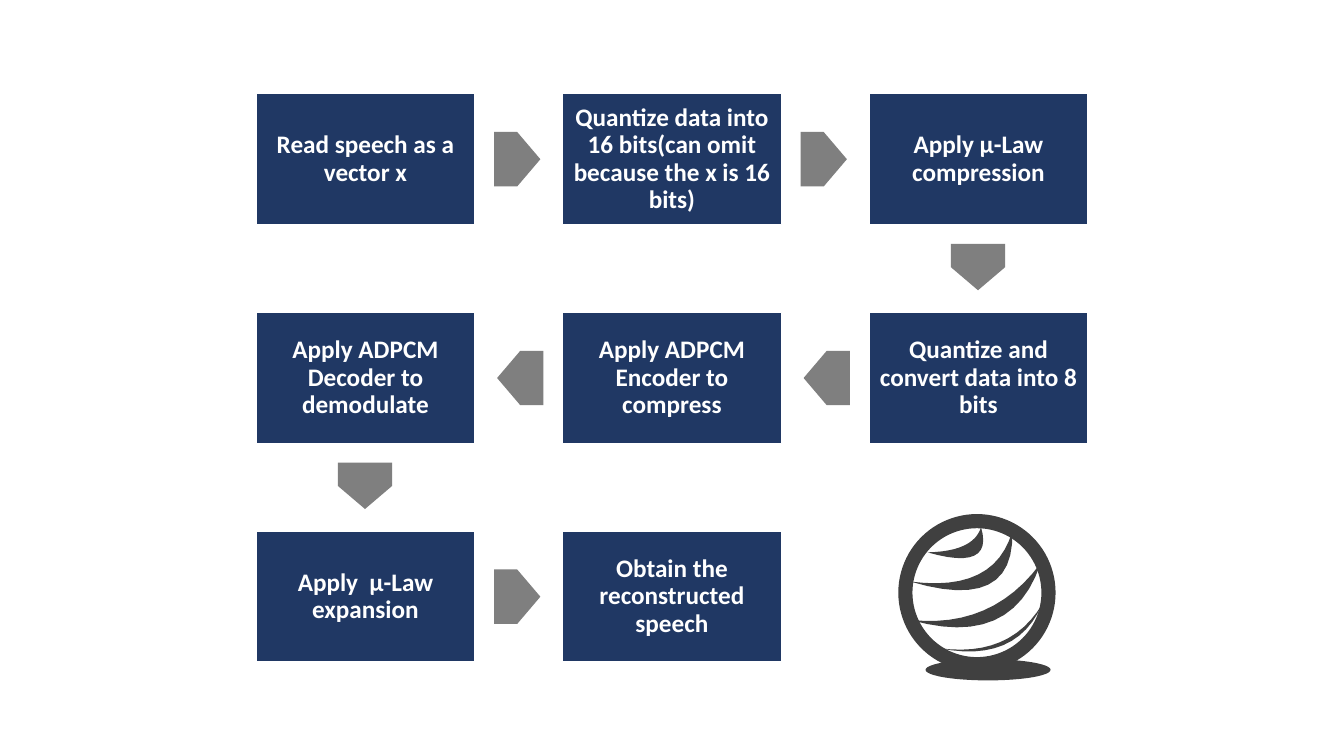
from pptx import Presentation
from pptx.dml.color import RGBColor as RGB
from pptx.enum.shapes import MSO_SHAPE as SHAPE
from pptx.enum.text import MSO_ANCHOR as ANCHOR, PP_ALIGN as ALIGN
from pptx.util import Pt

PX = 9144  # EMU in one px, 100 px to the inch
HUES = {"navy": "203864", "gray": "7F7F7F", "dark": "404040", "white": "FFFFFF"}

LEFT, TOP = 254, 93
STEP_X, STEP_Y = 304, 217
BOX_W, BOX_H = 217, 130
ARROW_W, ARROW_H = 46, 54

# Offset of each arrow from its box, and its rotation
TURNS = {"right": (236, 38, 0), "left": (-65, 38, 180), "down": (85, 145, 90)}

# Text, column, row, way to the next step
STEPS = [
    ("Read speech as a vector x", 0, 0, "right"),
    ("Quantize data into 16 bits(can omit because the x is 16 bits)", 1, 0, "right"),
    ("Apply μ-Law compression", 2, 0, "down"),
    ("Quantize and convert data into 8 bits", 2, 1, "left"),
    ("Apply ADPCM Encoder to compress", 1, 1, "left"),
    ("Apply ADPCM Decoder to demodulate", 0, 1, "down"),
    ("Apply  μ-Law expansion", 0, 2, "right"),
    ("Obtain the reconstructed speech", 1, 2, None),
]

# Left tip, right tip, pull of the lower edge, depth of the band
BANDS = [
    ((931, 643), (1034, 599), (1008, 659), 6),
    ((903, 615), (1032, 559), (1004, 644), 20),
    ((903, 577), (1004, 527), (1007, 608), 20),
    ((920, 548), (973, 523), (986, 567), 20),
]


def bend(start, pull, end, parts=12):
    """Points in EMU along a curve from start to end, drawn towards pull."""
    ways = [n / parts for n in range(parts + 1)]
    return [tuple(PX * ((1 - t) ** 2 * a + 2 * t * (1 - t) * b + t * t * c)
                  for a, b, c in zip(start, pull, end)) for t in ways]


class Board:
    frame = {"word_wrap": True, "vertical_anchor": ANCHOR.MIDDLE,
             **{f"margin_{side}": 7 * PX for side in ("left", "top", "right", "bottom")}}
    para = {"alignment": ALIGN.CENTER, "line_spacing": 0.9}
    font = {"name": "Calibri", "size": Pt(18), "bold": True}

    def __init__(self, slide):
        self.slide = slide

    def apply(self, item, style):
        for key, value in style.items():
            setattr(item, key, value)

    def paint(self, shape, hue, edge=None):
        shape.shadow.inherit = False
        shape.fill.solid()
        shape.fill.fore_color.rgb = RGB.from_string(HUES[hue])
        if edge:
            shape.line.color.rgb = RGB.from_string(HUES[edge])
            shape.line.width = Pt(1)
        else:
            shape.line.fill.background()

    def solid(self, kind, x, y, w, h, hue, edge=None):
        shape = self.slide.shapes.add_shape(kind, x * PX, y * PX, w * PX, h * PX)
        self.paint(shape, hue, edge)
        return shape

    def box(self, text, x, y):
        frame = self.solid(SHAPE.RECTANGLE, x, y, BOX_W, BOX_H, "navy", "white").text_frame
        self.apply(frame, self.frame)
        para = frame.paragraphs[0]
        self.apply(para, self.para)
        run = para.add_run()
        run.text = text
        self.apply(run.font, self.font)
        run.font.color.rgb = RGB.from_string(HUES["white"])

    def arrow(self, x, y, turn):
        dx, dy, angle = TURNS[turn]
        shape = self.solid(SHAPE.PENTAGON, x + dx, y + dy, ARROW_W, ARROW_H, "gray")
        shape.rotation = angle

    def band(self, left, right, pull, depth):
        inner = [value - depth for value in pull]
        dots = bend(left, pull, right) + bend(right, inner, left)
        form = self.slide.shapes.build_freeform(*dots[0])
        form.add_line_segments(dots[1:], close=True)
        self.paint(form.convert_to_shape(), "dark")

    def ball(self):
        ring = self.solid(SHAPE.DONUT, 891, 510, 156, 156, "dark")
        ring.adjustments[0] = 0.09
        self.solid(SHAPE.OVAL, 918, 654, 124, 21, "dark")
        for band in BANDS:
            self.band(*band)


def main():
    deck = Presentation()
    deck.slide_width, deck.slide_height = 1333 * PX, 750 * PX
    board = Board(deck.slides.add_slide(deck.slide_layouts[6]))
    for text, col, row, turn in STEPS:
        x, y = LEFT + col * STEP_X, TOP + row * STEP_Y
        board.box(text, x, y)
        if turn:
            board.arrow(x, y, turn)
    board.ball()
    deck.save("out.pptx")


if __name__ == "__main__":
    main()
